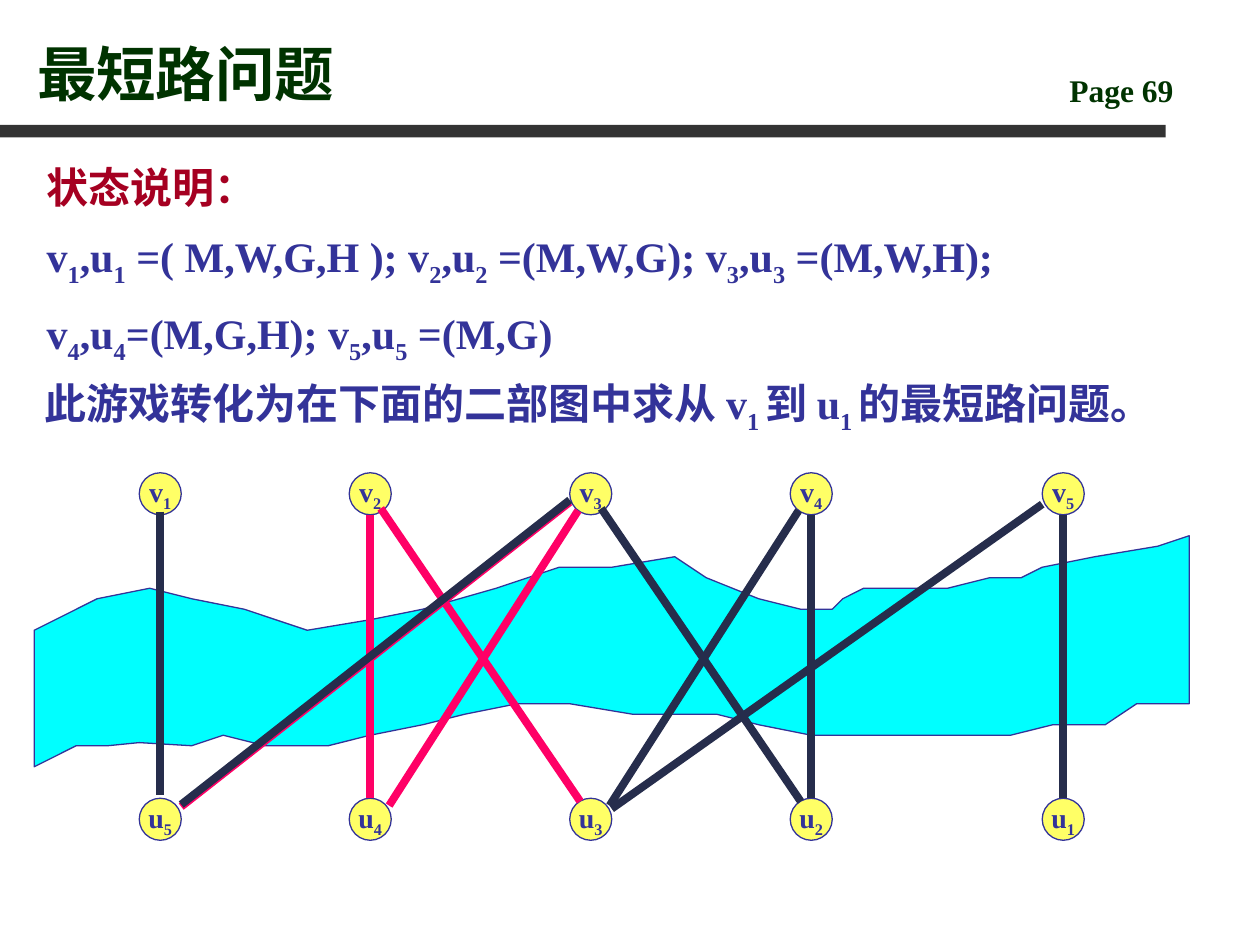
from dataclasses import dataclass

from lxml.etree import SubElement
from pptx import Presentation
from pptx.dml.color import RGBColor
from pptx.enum.shapes import MSO_CONNECTOR, MSO_SHAPE
from pptx.enum.text import MSO_ANCHOR, PP_ALIGN
from pptx.oxml.ns import qn
from pptx.util import Cm, Pt


@dataclass(frozen=True)
class Theme:
    font: str = "Times New Roman"
    green: str = "003300"
    red: str = "A50021"
    blue: str = "333399"
    bar: str = "333333"
    water: str = "00FFFF"
    node: str = "FFFF66"
    pink: str = "FF0066"
    navy: str = "262D4C"
    title: int = 34
    body: int = 24
    page: int = 18
    label: int = 16
    thin: float = 0.75
    thick: float = 4.5


T = Theme()
CELL = 2.54 / 12  # grid step of the river diagram, in cm


def rgb(code):
    return RGBColor.from_string(code)


def write(para, text, size, color):
    """Add runs; every second part between bars is a subscript."""
    for i, part in enumerate(text.split("|")):
        if not part:
            continue
        run = para.add_run()
        run.text = part
        font = run.font
        font.name, font.size, font.bold = T.font, Pt(size), True
        font.color.rgb = rgb(color)
        if i % 2:
            run._r.get_or_add_rPr().set("baseline", "-25000")


def add_box(slide, box, wrap=True):
    frame = slide.shapes.add_textbox(*map(Cm, box)).text_frame
    frame.word_wrap = wrap
    return frame


def paint(shape, fill, line=None):
    shape.shadow.inherit = False
    shape.fill.solid()
    shape.fill.fore_color.rgb = rgb(fill)
    if line:
        shape.line.color.rgb = rgb(line)
        shape.line.width = Pt(T.thin)
    else:
        shape.line.fill.background()


def header(slide, box):
    x, y, w, h = box
    bar = slide.shapes.add_shape(
        MSO_SHAPE.RECTANGLE, Cm(x), Cm(y + h - 0.25), Cm(w - 1.9), Cm(0.25))
    paint(bar, T.bar)
    page = add_box(slide, (x + 21.31, y + 0.97, 3.6, 1.02))
    write(page.paragraphs[0], "Page 69", T.page, T.green)
    title = add_box(slide, (x + 0.5, y, 20.4, 1.98))
    title.vertical_anchor = MSO_ANCHOR.BOTTOM
    write(title.paragraphs[0], "最短路问题", T.title, T.green)


def states(slide, box):
    frame = add_box(slide, box)
    lines = (
        ("状态说明：", T.red),
        ("v|1|,u|1| =( M,W,G,H ); v|2|,u|2| =(M,W,G); v|3|,u|3| =(M,W,H);", T.blue),
        ("v|4|,u|4|=(M,G,H); v|5|,u|5| =(M,G)", T.blue),
    )
    for i, (text, color) in enumerate(lines):
        para = frame.add_paragraph() if i else frame.paragraphs[0]
        para.line_spacing = 1.2
        if i:
            para.space_before = Pt(4.5)
        write(para, text, T.body, color)


def summary(slide, box):
    para = add_box(slide, box, wrap=False).paragraphs[0]
    para.alignment = PP_ALIGN.CENTER
    para.line_spacing = 1.2
    write(para, "此游戏转化为在下面的二部图中求从 v|1 |到 u|1 |的最短路问题。",
          T.body, T.blue)


def graph(slide, box):
    left, top = box[:2]

    def spot(x, y):
        return Cm(left + x * CELL), Cm(top + y * CELL)

    def node(x, y, text):
        dot = slide.shapes.add_shape(
            MSO_SHAPE.OVAL, *spot(x, y), Cm(4 * CELL), Cm(4 * CELL))
        paint(dot, T.node, T.blue)
        frame = dot.text_frame
        frame.word_wrap = False
        frame.vertical_anchor = MSO_ANCHOR.MIDDLE
        para = frame.paragraphs[0]
        para.alignment = PP_ALIGN.CENTER
        write(para, text, T.label, T.blue)

    def edge(x1, y1, x2, y2, color):
        line = slide.shapes.add_connector(
            MSO_CONNECTOR.STRAIGHT, *spot(x1, y1), *spot(x2, y2))
        line.line.color.rgb = rgb(color)
        line.line.width = Pt(T.thick)
        SubElement(line._element.spPr, qn("a:effectLst"))

    # River: upper bank left to right, then lower bank back
    bank = (
        (0, 28), (0, 15), (6, 12), (11, 11), (15, 12), (20, 13), (26, 15),
        (32, 14), (37, 13), (44, 11), (50, 9), (55, 9), (61, 8), (64, 10),
        (69, 12), (73, 13), (76, 13), (77, 12), (79, 11), (87, 11), (91, 10),
        (94, 10), (96, 9), (101, 8), (107, 7), (110, 6),
        (110, 22), (105, 22), (102, 24), (97, 24), (93, 25), (74, 25),
        (69, 24), (65, 23), (57, 23), (51, 22), (46, 22), (41, 23), (37, 24),
        (32, 25), (28, 26), (22, 26), (18, 25), (15, 26), (10, 25.7),
        (7, 26), (4, 26),
    )
    fine = 10  # local units per cell
    path = slide.shapes.build_freeform(
        0, bank[0][1] * fine, scale=Cm(CELL) / fine)
    path.add_line_segments([(x * fine, round(y * fine)) for x, y in bank[1:]])
    paint(path.convert_to_shape(*spot(0, 0)), T.water, T.blue)

    # Nodes: v row above the river, u row below
    cols = (10, 30, 51, 72, 96)
    for i, x in enumerate(cols):
        node(x, 0, f"v|{i + 1}")
        node(x, 31, f"u|{5 - i}")

    # Edges: pink first, the navy ones on top
    for x in (0, 1, 3, 4):
        mid = cols[x] + 2
        edge(mid, 4 if x else 3.7, mid, 31 if x else 30.7,
             T.pink if x == 1 else T.navy)
    slants = (
        (33, 3.4, 52, 31.3, T.pink),
        (51.8, 3.6, 33.8, 31.7, T.pink),
        (51, 2.8, 14, 31.8, T.pink),
        (72.8, 3.6, 54.8, 31.7, T.navy),
        (96, 3, 55, 32, T.navy),
        (54, 3.4, 73, 31.3, T.navy),
        (51, 2.6, 14, 31.6, T.navy),
    )
    for slant in slants:
        edge(*slant)


def main():
    deck = Presentation()
    deck.slide_width, deck.slide_height = Cm(25.4), Cm(19.05)
    slide = deck.slides.add_slide(deck.slide_layouts[6])
    header(slide, (0, 0.33, 25.4, 2.44))
    states(slide, (0.69, 2.92, 22.6, 13))
    summary(slide, (0.15, 7.26, 23.83, 1.65))
    graph(slide, (0.69, 9.53, 23.28, 7.41))
    deck.save("out.pptx")


if __name__ == "__main__":
    main()
